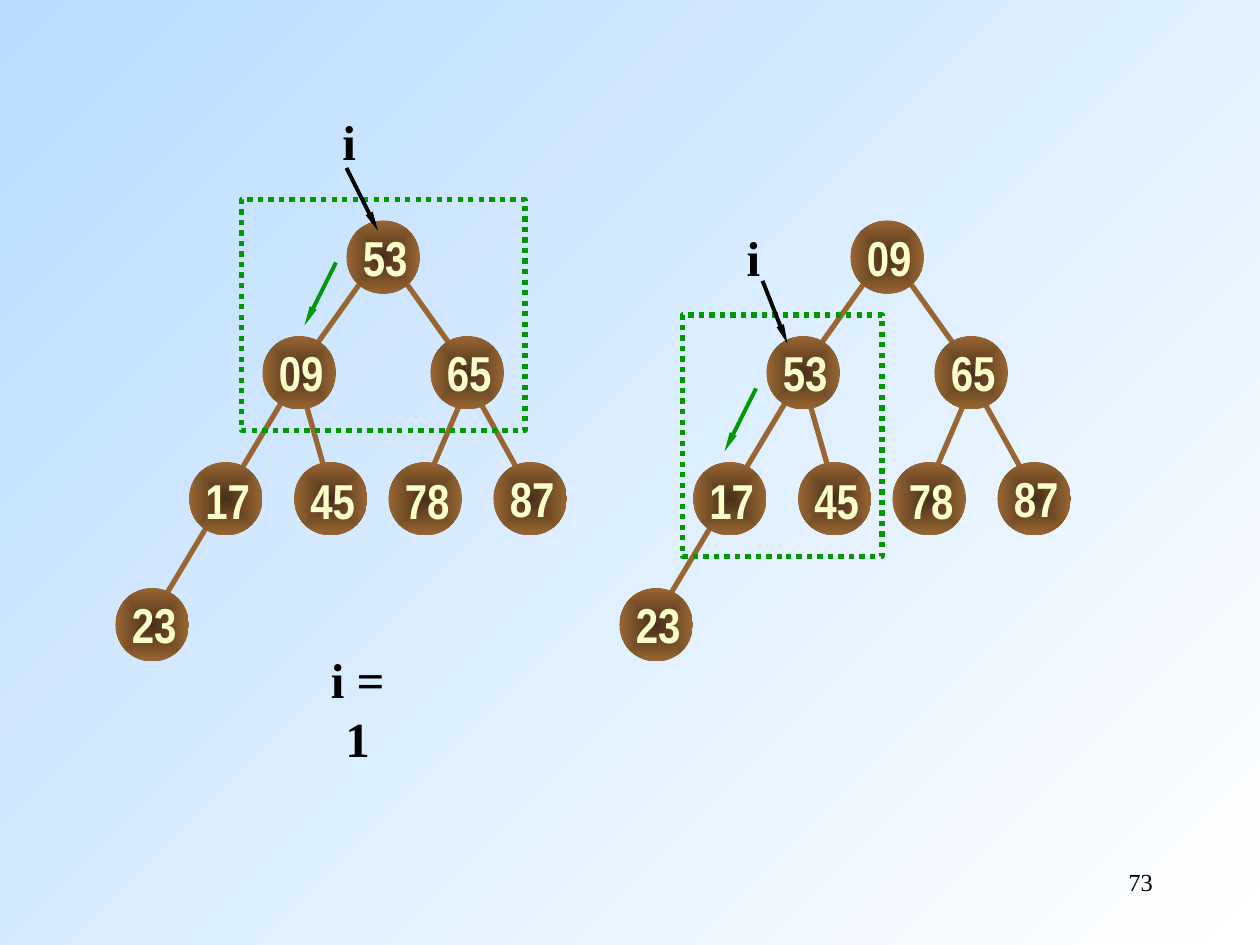
from lxml import etree
from pptx import Presentation
from pptx.dml.color import RGBColor
from pptx.enum.dml import MSO_LINE
from pptx.enum.shapes import MSO_CONNECTOR, MSO_SHAPE
from pptx.enum.text import MSO_ANCHOR, MSO_AUTO_SIZE, PP_ALIGN
from pptx.oxml.ns import qn
from pptx.util import Emu, Pt

SKY = RGBColor(0xB9, 0xDC, 0xFF)
WHITE = RGBColor(0xFF, 0xFF, 0xFF)
DARK_BROWN = RGBColor(0x47, 0x2F, 0x18)
BROWN = RGBColor(0x99, 0x66, 0x33)
CREAM = RGBColor(0xFF, 0xFF, 0xCC)
GREEN = RGBColor(0x00, 0x99, 0x00)
BLACK = RGBColor(0x00, 0x00, 0x00)

OVAL, RECTANGLE = MSO_SHAPE.OVAL, MSO_SHAPE.RECTANGLE
STRAIGHT, DOTTED = MSO_CONNECTOR.STRAIGHT, MSO_LINE.ROUND_DOT
CENTER, RIGHT = PP_ALIGN.CENTER, PP_ALIGN.RIGHT
MIDDLE, TOP = MSO_ANCHOR.MIDDLE, MSO_ANCHOR.TOP
GROW, FIXED = MSO_AUTO_SIZE.SHAPE_TO_FIT_TEXT, MSO_AUTO_SIZE.NONE

EMU_PER_PX = 9525
NODE_SIZE = 56
LABEL_HEIGHT = 55
TREE_SHIFT = 384

NODE_PLACES = [(264, 168), (200, 256), (328, 256), (144, 352),
               (224, 352), (296, 352), (376, 352), (88, 448)]
LABEL_DROPS = [0, 0, 0, 1, 1, 1, 0, 0]
EDGES = [(360, 296, 400, 368), (352, 304, 328, 360), (304, 208, 344, 264),
         (232, 304, 248, 360), (280, 208, 240, 264), (216, 304, 120, 464)]
HEAPS = [["53", "09", "65", "17", "45", "78", "87", "23"],
         ["09", "53", "65", "17", "45", "78", "87", "23"]]

NODE_TEXT = {"name": "Arial Narrow", "size": Pt(28), "bold": True}
INDEX_TEXT = {"name": "Times New Roman", "size": Pt(28), "bold": True}
PAGE_TEXT = {"name": "Times New Roman", "size": Pt(14)}


def px(*lengths):
    return [Emu(length * EMU_PER_PX) for length in lengths]


class HeapSlide:
    def __init__(self, presentation):
        self.slide = presentation.slides.add_slide(presentation.slide_layouts[6])
        self.shapes = self.slide.shapes

    def gradient(self, fill, start, end):
        fill.gradient()
        for stop, color in zip(fill.gradient_stops, (start, end)):
            stop.color.rgb = color

    def background(self):
        fill = self.slide.background.fill
        self.gradient(fill, SKY, WHITE)
        fill.gradient_angle = 315

    def node(self, x, y):
        disc = self.shapes.add_shape(OVAL, *px(x, y, NODE_SIZE, NODE_SIZE))
        disc.shadow.inherit = False
        disc.line.fill.background()
        self.gradient(disc.fill, DARK_BROWN, BROWN)
        linear = next(disc.element.iter(qn("a:lin")))
        radial = etree.Element(qn("a:path"), path="rect")
        etree.SubElement(radial, qn("a:fillToRect"),
                         l="50000", t="50000", r="50000", b="50000")
        linear.getparent().replace(linear, radial)

    def line(self, x1, y1, x2, y2, color, width, arrow=False):
        connector = self.shapes.add_connector(STRAIGHT, *px(x1, y1, x2, y2))
        connector.line.color.rgb = color
        connector.line.width = Pt(width)
        if arrow:
            etree.SubElement(connector.line._get_or_add_ln(), qn("a:tailEnd"),
                             type="triangle", w="sm", len="lg")
        etree.SubElement(connector.element.spPr, qn("a:effectLst"))

    def frame(self, x, y, width, height):
        outline = self.shapes.add_shape(RECTANGLE, *px(x, y, width, height))
        outline.shadow.inherit = False
        outline.fill.background()
        outline.line.color.rgb = GREEN
        outline.line.width = Pt(3)
        outline.line.dash_style = DOTTED

    def text(self, words, x, y, width, height, style, color,
             align=CENTER, anchor=MIDDLE, wrap=False, fit=GROW):
        box = self.shapes.add_textbox(*px(x, y, width, height))
        layout = {"word_wrap": wrap, "auto_size": fit, "vertical_anchor": anchor}
        for name, value in layout.items():
            setattr(box.text_frame, name, value)
        paragraph = box.text_frame.paragraphs[0]
        paragraph.alignment = align
        run = paragraph.add_run()
        run.text = words
        for name, value in style.items():
            setattr(run.font, name, value)
        run.font.color.rgb = color

    def tree(self, values, shift):
        for x1, y1, x2, y2 in EDGES:
            self.line(x1 + shift, y1, x2 + shift, y2, BROWN, 3)
        for x, y in NODE_PLACES:
            self.node(x + shift, y)
        for value, (x, y), drop in zip(values, NODE_PLACES, LABEL_DROPS):
            self.text(value, x + shift + 3, y + drop, 53, LABEL_HEIGHT,
                      NODE_TEXT, CREAM)

    def index(self, words, x, y, width):
        self.text(words, x, y, width, LABEL_HEIGHT, INDEX_TEXT, BLACK)


def main():
    presentation = Presentation()
    presentation.slide_width, presentation.slide_height = px(960, 720)
    heap = HeapSlide(presentation)
    heap.background()
    heap.text("73", 688, 656, 200, 48, PAGE_TEXT, BLACK,
              align=RIGHT, anchor=TOP, wrap=True, fit=FIXED)
    for step, values in enumerate(HEAPS):
        heap.tree(values, step * TREE_SHIFT)
    for bounds in [(184, 152, 216, 176), (520, 240, 152, 184)]:
        heap.frame(*bounds)
    for pointer in [(264, 128, 288, 176), (581, 214, 600, 262)]:
        heap.line(*pointer, BLACK, 2.25, arrow=True)
    for sift in [(256, 200, 232, 248), (576, 296, 552, 344)]:
        heap.line(*sift, GREEN, 2.25, arrow=True)
    for label in [("i", 251, 80, 30), ("i", 559, 168, 30), ("i = 1", 229, 512, 87)]:
        heap.index(*label)
    presentation.save("out.pptx")


if __name__ == "__main__":
    main()
